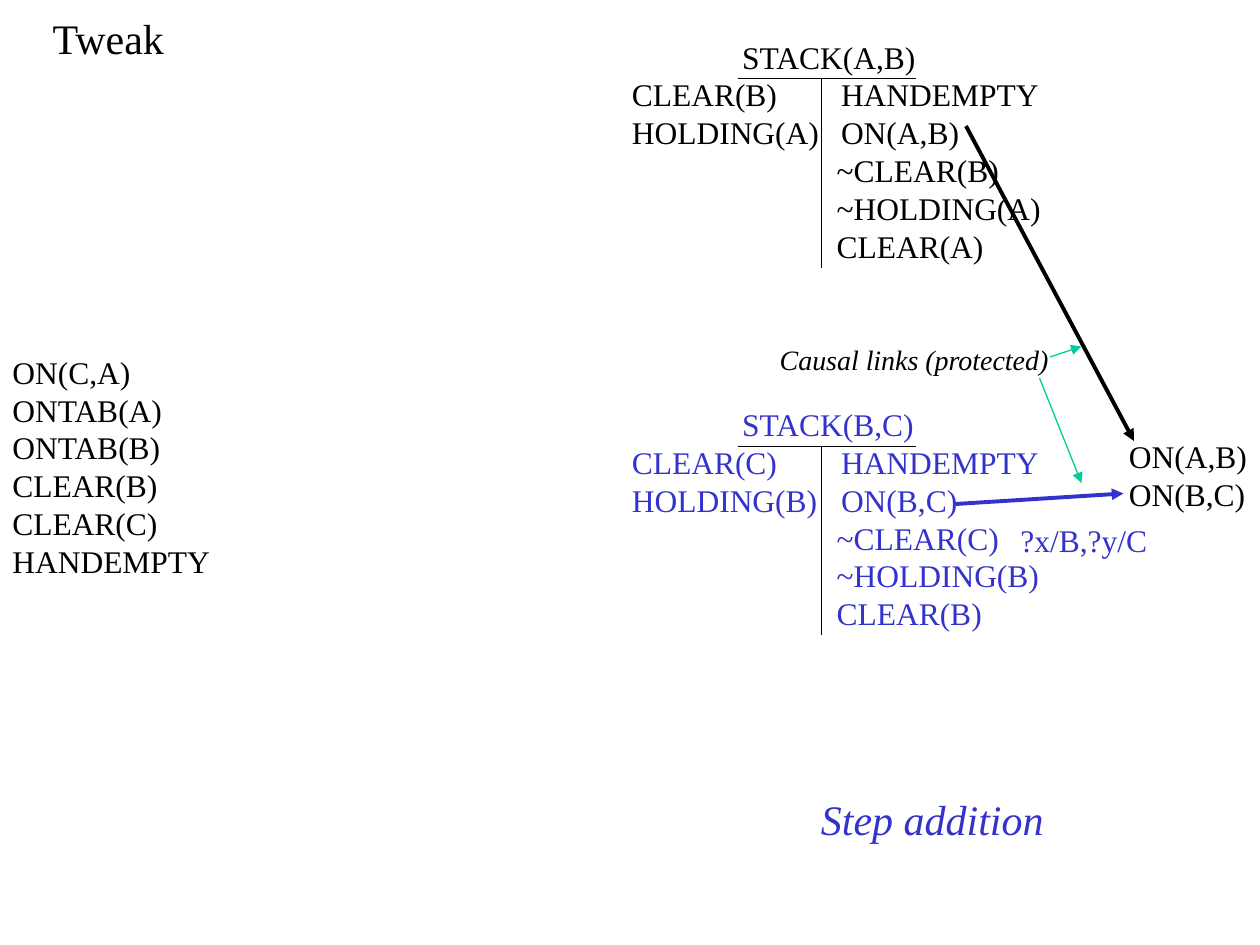
"""Builds the Tweak planning slide that shows step addition with causal links."""
import pptx
import pptx.dml.color
import pptx.enum.shapes
import pptx.enum.text
import pptx.oxml.ns
import pptx.util

BLACK, BLUE, GREEN = "000000", "3333CC", "00CC99"
FONT = "Times New Roman"
LABELS = [
    (0, 198, 127.5, 137, ["ON(C,A)", "ONTAB(A)", "ONTAB(B)", "CLEAR(B)", "CLEAR(C)", "HANDEMPTY"],
     18, BLACK, False),
    (638, 246.25, 82, 50.5, ["ON(A,B)", "ON(B,C)"], 18, BLACK, False),
    (23, 3.6, 79, 36, ["Tweak"], 24, BLACK, False),
    (576, 294, 86.5, 29, ["?x/B,?y/C"], 18, BLUE, False),
    (462, 450, 142, 36, ["Step addition"], 24, BLUE, True),
    (438.5, 192, 168.5, 27, ["Causal links (protected)"], 16, BLACK, True),
]
OPERATORS = [
    (18, "A", "B", BLACK),
    (228, "B", "C", BLUE),
]
ARROWS = [
    (552, 72, 648, 252, BLACK, 2.25),
    (546, 288, 642, 282, BLUE, 2.25),
    (594, 216, 618, 276, GREEN, 0.75),
    (600, 204, 618, 198, GREEN, 0.75),
]
LINE_HEIGHT, PADDING = 21.6, 7.2
NAME_LEFT, NAME_WIDTH = 417, 120
PRECONDITION_LEFT, PRECONDITION_WIDTH = 354, 118
EFFECT_LEFT, EFFECT_WIDTH = 471, 132
EFFECT_INDENTS = [2.5, 2.5, 0, 0, 0]
BAR_LEFT, BAR_RIGHT, STEM_X, BAR_OFFSET, STEM_HEIGHT = 421.5, 523.5, 469.5, 27, 108


def rgb(value):
    return pptx.dml.color.RGBColor.from_string(value)


def add_text(slide, left, top, width, height, lines, size, color, italic=False):
    box = slide.shapes.add_textbox(*map(pptx.util.Pt, (left, top, width, height)))
    frame = box.text_frame
    frame_format = {
        "word_wrap": True,
        "auto_size": pptx.enum.text.MSO_AUTO_SIZE.NONE,
        "margin_left": pptx.util.Pt(PADDING),
        "margin_right": 0,
        "margin_top": pptx.util.Pt(PADDING / 2),
        "margin_bottom": pptx.util.Pt(PADDING / 2),
    }
    for name, value in frame_format.items():
        setattr(frame, name, value)
    font_format = {"name": FONT, "size": pptx.util.Pt(size), "italic": italic}
    for index, line in enumerate(lines):
        paragraph = frame.paragraphs[0] if index == 0 else frame.add_paragraph()
        run = paragraph.add_run()
        run.text = line
        for name, value in font_format.items():
            setattr(run.font, name, value)
        run.font.color.rgb = rgb(color)
    return frame.paragraphs


def add_line(slide, x1, y1, x2, y2, color, width, arrow=False):
    connector = slide.shapes.add_connector(
        pptx.enum.shapes.MSO_CONNECTOR.STRAIGHT, *map(pptx.util.Pt, (x1, y1, x2, y2)))
    connector.line.color.rgb = rgb(color)
    connector.line.width = pptx.util.Pt(width)
    properties = connector.element.spPr
    if arrow:
        line = properties.find(pptx.oxml.ns.qn("a:ln"))
        line.append(line.makeelement(pptx.oxml.ns.qn("a:tailEnd"), {"type": "triangle"}))
    properties.append(properties.makeelement(pptx.oxml.ns.qn("a:effectLst"), {}))


def add_operator(slide, top, upper, lower, color):
    name = [f"STACK({upper},{lower})"]
    preconditions = [f"CLEAR({lower})", f"HOLDING({upper})"]
    effects = ["HANDEMPTY", f"ON({upper},{lower})", f"~CLEAR({lower})",
               f"~HOLDING({upper})", f"CLEAR({upper})"]
    columns = [
        (NAME_LEFT, top, NAME_WIDTH, name),
        (PRECONDITION_LEFT, top + LINE_HEIGHT, PRECONDITION_WIDTH, preconditions),
        (EFFECT_LEFT, top + LINE_HEIGHT, EFFECT_WIDTH, effects),
    ]
    for left, column_top, width, lines in columns:
        height = len(lines) * LINE_HEIGHT + PADDING
        paragraphs = add_text(slide, left, column_top, width, height, lines, 18, color)
    for paragraph, indent in zip(paragraphs, EFFECT_INDENTS):
        properties = paragraph._p.get_or_add_pPr()
        properties.set("marL", str(pptx.util.Pt(indent)))
        properties.set("indent", "0")
    bar_y = top + BAR_OFFSET
    add_line(slide, STEM_X, bar_y, STEM_X, bar_y + STEM_HEIGHT, BLACK, 0.75)
    add_line(slide, BAR_LEFT, bar_y, BAR_RIGHT, bar_y, BLACK, 0.75)


def main():
    presentation = pptx.Presentation()
    presentation.slide_width = pptx.util.Pt(720)
    presentation.slide_height = pptx.util.Pt(540)
    slide = presentation.slides.add_slide(presentation.slide_layouts[6])
    for label in LABELS:
        add_text(slide, *label)
    for operator in OPERATORS:
        add_operator(slide, *operator)
    for arrow in ARROWS:
        add_line(slide, *arrow, arrow=True)
    presentation.save("out.pptx")


if __name__ == "__main__":
    main()
